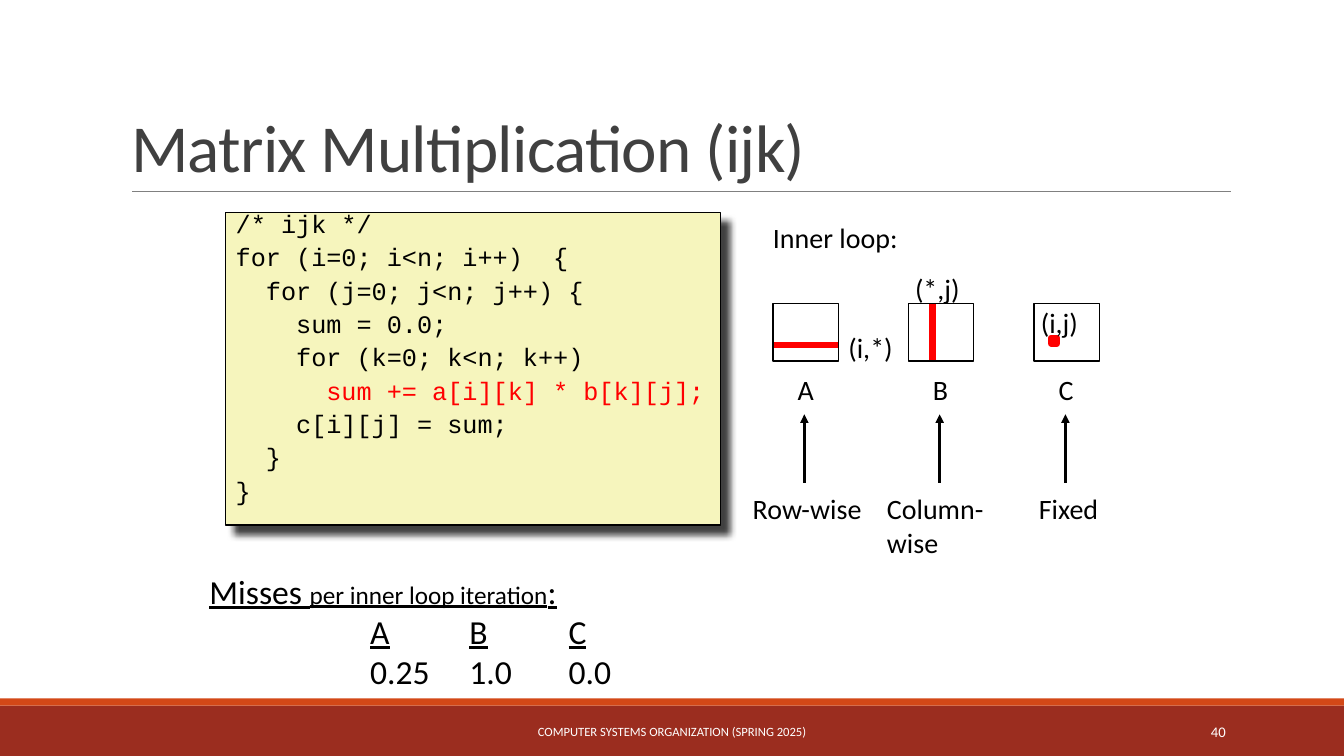
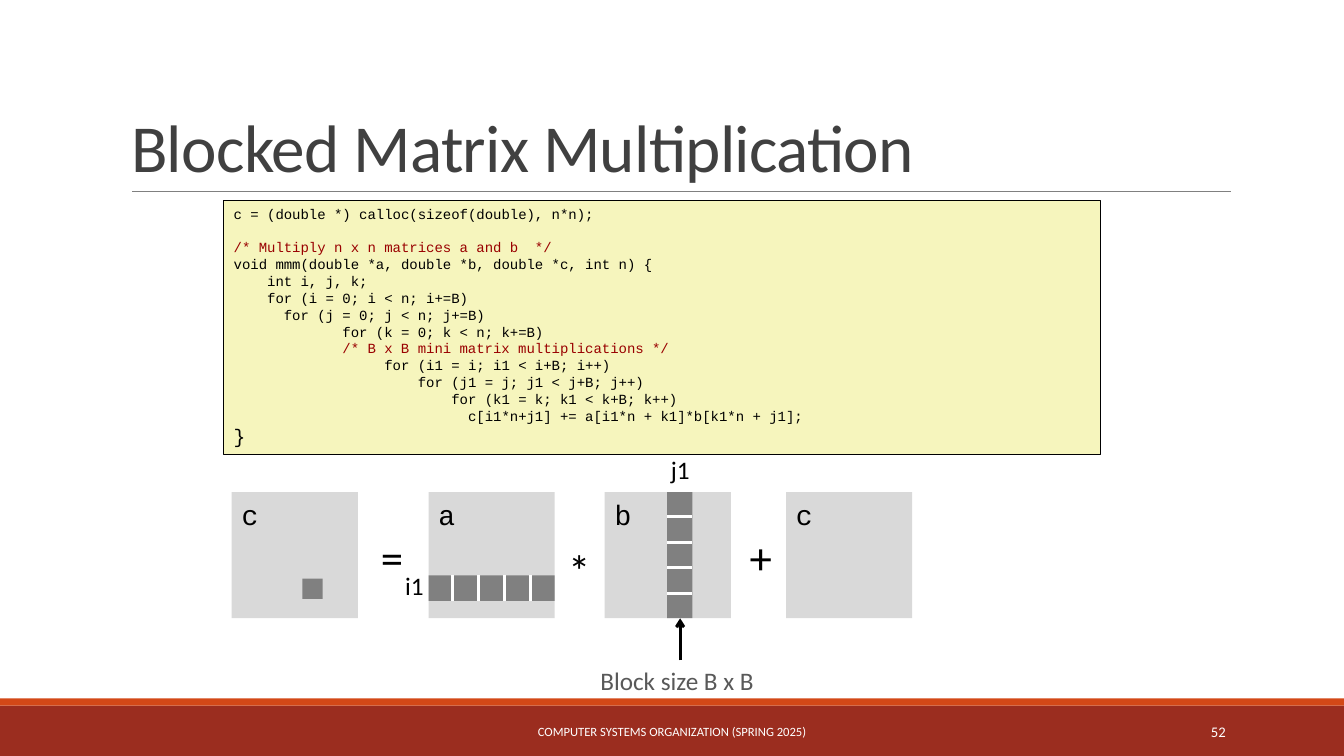
from lxml import etree
from pptx import Presentation
from pptx.dml.color import RGBColor
from pptx.enum import shapes, text
from pptx.oxml import ns
from pptx.util import Cm, Pt

SANS, MONO = "Calibri", "Courier New"
BLACK, WHITE, RED = "000000", "FFFFFF", "FF0000"
RUST, ORANGE, INK = "9B2D1F", "D34817", "404040"
CREAM, PALE, GREY, NOTE = "F6F5BD", "D9D9D9", "808080", "595959"
MAROON = "990000"
WIDE, HIGH = 33.87, 19.05
FOOTER = "COMPUTER SYSTEMS ORGANIZATION (SPRING 2025)"
LEFT, MID, RIGHT = text.PP_ALIGN.LEFT, text.PP_ALIGN.CENTER, text.PP_ALIGN.RIGHT
TOP, CORE, BASE = text.MSO_ANCHOR.TOP, text.MSO_ANCHOR.MIDDLE, text.MSO_ANCHOR.BOTTOM

LOOP = [
    "/* ijk */",
    "for (i=0; i<n; i++)  {",
    "  for (j=0; j<n; j++) {",
    "    sum = 0.0;",
    "    for (k=0; k<n; k++)",
    [("      ", {}), ("sum += a[i][k] * b[k][j];", {"hue": RED})],
    "    c[i][j] = sum;",
    "  }",
    "}",
]
BLOCKED = [
    "c = (double *) calloc(sizeof(double), n*n);",
    [("/* Multiply n x n matrices a and b  */", {"hue": MAROON})],
    "void mmm(double *a, double *b, double *c, int n) {",
    "    int i, j, k;",
    "    for (i = 0; i < n; i+=B)",
    "      for (j = 0; j < n; j+=B)",
    "             for (k = 0; k < n; k+=B)",
    [("             ", {}),
     ("/* B x B mini matrix multiplications */", {"hue": MAROON})],
    "                  for (i1 = i; i1 < i+B; i++)",
    "                      for (j1 = j; j1 < j+B; j++)",
    "                          for (k1 = k; k1 < k+B; k++)",
    "                            c[i1*n+j1] += a[i1*n + k1]*b[k1*n + j1];",
    [("}", {"size": 14})],
]


def color(code):
    return RGBColor.from_string(code)


def add(parent, tag, **attrs):
    """Append a drawing element with the given attributes."""
    return etree.SubElement(parent, ns.qn(tag), attrs)


def style(font, size, hue=BLACK, face=SANS, line=None):
    font.size, font.name, font.underline = Pt(size), face, line
    font.color.rgb = color(hue)


def write(frame, rows, size, align=LEFT, anchor=TOP, **look):
    """Fill a frame; a row is a string or a list of (text, changes) runs."""
    frame.vertical_anchor = anchor
    for n, row in enumerate(rows):
        para = frame.add_paragraph() if n else frame.paragraphs[0]
        para.alignment = align
        for words, change in [(row, {})] if isinstance(row, str) else row:
            run = para.add_run()
            run.text = words
            style(run.font, **{"size": size, **look, **change})
    return frame.paragraphs


def rect(slide, x, y, w, h, fill, edge=None, width=1):
    box = slide.shapes.add_shape(
        shapes.MSO_SHAPE.RECTANGLE, Cm(x), Cm(y), Cm(w), Cm(h))
    box.shadow.inherit = False
    box.fill.solid()
    box.fill.fore_color.rgb = color(fill)
    if edge:
        box.line.color.rgb = color(edge)
        box.line.width = Pt(width)
    else:
        box.line.fill.background()
    return box


def line(slide, x1, y1, x2, y2, hue, width, head=None):
    link = slide.shapes.add_connector(
        shapes.MSO_CONNECTOR.STRAIGHT, Cm(x1), Cm(y1), Cm(x2), Cm(y2))
    link.line.color.rgb = color(hue)
    link.line.width = Pt(width)
    props = link.element.spPr
    if head:
        add(props.find(ns.qn("a:ln")), "a:tailEnd", type=head)
    add(props, "a:effectLst")


def area(slide, x, y, w, h, rows, size, **look):
    box = slide.shapes.add_textbox(Cm(x), Cm(y), Cm(w), Cm(h))
    box.text_frame.word_wrap = True
    return write(box.text_frame, rows, size, **look)


def label(slide, x, y, w, h, rows, size, **look):
    """Text box that fits its unwrapped text."""
    box = slide.shapes.add_textbox(Cm(x), Cm(y), Cm(w), Cm(h))
    box.text_frame.word_wrap = False
    box.text_frame.auto_size = text.MSO_AUTO_SIZE.SHAPE_TO_FIT_TEXT
    write(box.text_frame, rows, size, **look)


def code(slide, x, y, w, h, rows, size):
    box = rect(slide, x, y, w, h, CREAM, BLACK)
    return box, write(box.text_frame, rows, size, face=MONO)


def cast(box):
    """Give a shape a soft shadow at its lower right."""
    effects = box.element.spPr.find(ns.qn("a:effectLst"))
    shade = add(effects, "a:outerShdw", blurRad=str(Pt(5)), dist=str(Pt(8.5)),
                dir="2700000", algn="ctr", rotWithShape="0")
    tint = add(shade, "a:srgbClr", val=BLACK)
    add(tint, "a:alpha", val="75000")


def start(deck, title, number):
    """Add a slide with its title, rule, bands and footer."""
    slide = deck.slides.add_slide(deck.slide_layouts[5])
    rect(slide, 0, 17.78, WIDE, 1.27, RUST)
    rect(slide, 0, 17.6, WIDE, 0.18, ORANGE)
    line(slide, 3.33, 4.83, 31.01, 4.83, GREY, 0.5)
    head = slide.shapes.title
    head.left, head.top, head.width, head.height = (
        Cm(3.05), Cm(0.79), Cm(27.94), Cm(4.04))
    head.text_frame.auto_size = text.MSO_AUTO_SIZE.NONE
    para = write(head.text_frame, [title], 48, anchor=BASE, hue=INK)[0]
    para.line_spacing = 0.85
    para.runs[0].font._element.set("spc", "-50")
    area(slide, 10.24, 17.93, 13.39, 1.02, [FOOTER], 9,
         align=MID, anchor=CORE, hue=WHITE)
    area(slide, 27.51, 17.93, 3.63, 1.02, [number], 10.5,
         align=RIGHT, anchor=CORE, hue=WHITE)
    return slide


def misses(slide):
    under = {"line": True}
    names = [run for name in "ABC" for run in (("\t", {}), (name, under))]
    rows = [
        [("Misses ", under),
         ("per inner loop iteration", {"size": 18, "line": True}),
         (":", under)],
        names,
        "\t0.25\t1.0\t0.0",
    ]
    for para in area(slide, 5.03, 14.25, 14.1, 3.38, rows, 24)[1:]:
        tabs = add(para._p.get_or_add_pPr(), "a:tabLst")
        for n in range(3):
            add(tabs, "a:tab", pos=str(Cm(4.05 + 2.5 * n)), algn="l")


def loops(deck):
    slide = start(deck, "Matrix Multiplication (ijk)", "40")
    box, paras = code(slide, 5.69, 5.36, 12.47, 7.87, LOOP, 18)
    cast(box)
    for n, para in enumerate(paras):
        para.line_spacing = 0.65
        para.space_before = Pt(9.8 if n else 0)

    label(slide, 19.23, 5.44, 3.68, 1.09, ["Inner loop:"], 20)
    for name, x, left, wide, rows in [
        ("A", 19.48, 18.72, 3.28, ["Row-wise"]),
        ("B", 22.89, 22.1, 2.97, ["Column-", "wise"]),
        ("C", 26.06, 25.93, 2.01, ["Fixed"]),
    ]:
        rect(slide, x, 7.65, 1.65, 1.45, WHITE, BLACK)
        label(slide, x + 0.37, 9.25, 0.9, 1.09, [name], 20)
        line(slide, x + 0.79, 12.17, x + 0.79, 10.44, BLACK, 2, "triangle")
        label(slide, left, 12.27, wide, 1.09 * len(rows), rows, 20)

    line(slide, 23.5, 7.67, 23.5, 9.07, RED, 4.5)
    line(slide, 19.51, 8.69, 21.13, 8.69, RED, 4.5)
    rect(slide, 26.49, 8.51, 0.15, 0.15, RED, RED, 4.5)
    for words, x, y, wide in [
        ("(i,*)", 21.13, 8.2, 1.63),
        ("(*,j)", 22.81, 6.71, 1.65),
        ("(i,j)", 25.98, 7.57, 1.45),
    ]:
        label(slide, x, y, wide, 1.09, [words], 20)
    misses(slide)


def blocks(deck):
    slide = start(deck, "Blocked Matrix Multiplication", "52")
    paras = code(slide, 5.64, 5.05, 22.1, 6.4, BLOCKED, 10)[1]
    paras[1].space_before = Pt(12)

    top, side, band = 12.4, 3.18, 0.64
    row, col = 14.5, 16.81
    a_left, b_left = 10.8, 15.24
    for name, x in [("c", 5.84), ("a", a_left), ("b", b_left), ("c", 19.81)]:
        box = rect(slide, x, top, side, side, PALE)
        write(box.text_frame, [name], 20, face=MONO)
    for sign, x, y in [("=", 9.35, 13.23), ("*", 14.07, 13.54),
                       ("+", 18.64, 13.23)]:
        label(slide, x, y, 1.09, 1.63, [sign], 32)
    label(slide, 9.96, 14.25, 0.99, 1.02, ["i1"], 18)
    label(slide, 16.66, 11.33, 0.99, 1.02, ["j1"], 18)

    rect(slide, 7.62, 14.58, 0.51, 0.51, GREY)
    rect(slide, a_left, row, side, band, GREY)
    rect(slide, col, top, band, side, GREY)
    for n in range(4):
        gap = 0.61 + 0.65 * n
        line(slide, a_left + gap, row, a_left + gap, row + band, WHITE, 2)
        line(slide, col, top + gap, col + band, top + gap, WHITE, 2)

    label(slide, 14.88, 16.64, 4.52, 1.02, ["Block size B x B"], 18, hue=NOTE)
    line(slide, 17.14, 16.64, 17.14, top + side, BLACK, 2, "arrow")


def main():
    deck = Presentation()
    deck.slide_width, deck.slide_height = Cm(WIDE), Cm(HIGH)
    loops(deck)
    blocks(deck)
    deck.save("out.pptx")


if __name__ == "__main__":
    main()
